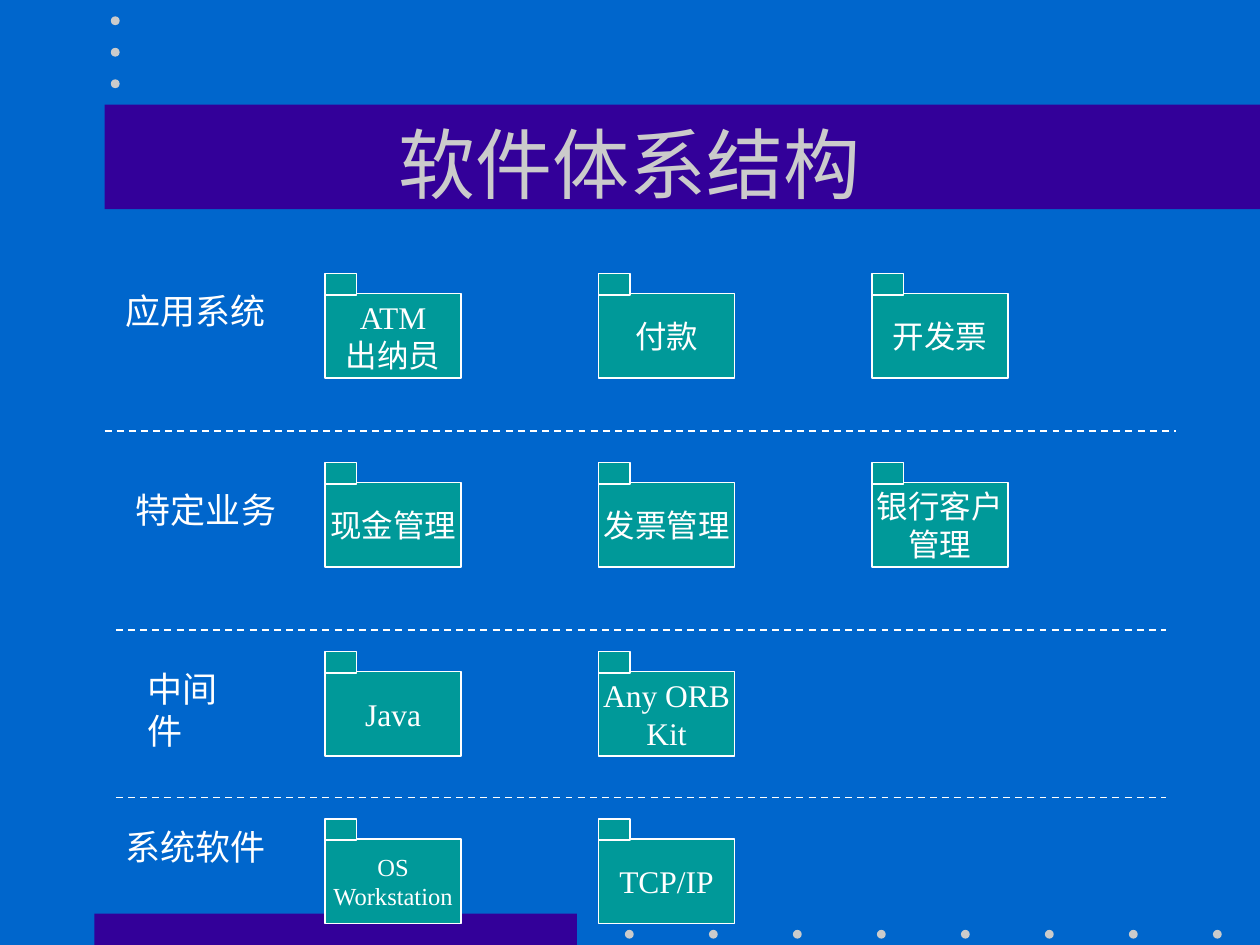
from pptx import Presentation
from pptx.dml.color import RGBColor
from pptx.enum.dml import MSO_LINE
from pptx.enum.shapes import MSO_CONNECTOR, MSO_SHAPE
from pptx.enum.text import MSO_ANCHOR, MSO_AUTO_SIZE, PP_ALIGN
from pptx.oxml.ns import qn
from pptx.util import Inches, Pt
from lxml import etree

RECT, OVAL = MSO_SHAPE.RECTANGLE, MSO_SHAPE.OVAL
LINE, DASH = MSO_CONNECTOR.STRAIGHT, MSO_LINE.DASH
MIDDLE, CENTER, LEFT = MSO_ANCHOR.MIDDLE, PP_ALIGN.CENTER, PP_ALIGN.LEFT
NO_FIT, GROW = MSO_AUTO_SIZE.NONE, MSO_AUTO_SIZE.SHAPE_TO_FIT_TEXT
BLUE = RGBColor(0x00, 0x66, 0xCC)
PURPLE = RGBColor(0x33, 0x00, 0x99)
TEAL = RGBColor(0x00, 0x99, 0x99)
GRAY = RGBColor(0xCB, 0xCB, 0xCB)
WHITE = RGBColor(0xFF, 0xFF, 0xFF)
FONT = "Times New Roman"

LAYERS = [
    ("应用系统", 0.9, 2.25, 1.31, 2.17, [("ATM\n出纳员", 18), ("付款", 18), ("开发票", 18)]),
    ("特定业务", 0.98, 3.83, 1.31, 3.67,
     [("现金管理", 18), ("发票管理", 18), ("银行客户\n管理", 18)]),
    ("中间件", 1.07, 5.25, 1.03, 5.17, [("Java", 18), ("Any ORB\nKit", 18)]),
    ("系统软件", 0.9, 6.5, 1.31, 6.5, [("OS\nWorkstation", 14), ("TCP/IP", 18)]),
]
RULES = [(0.83, 9.33, 3.42), (0.92, 9.25, 5), (0.92, 9.25, 6.33)]


def write(frame, text, size, color=WHITE, align=CENTER):
    """Fill a text frame and format its paragraphs."""
    frame.text = text
    for para in frame.paragraphs:
        para.alignment = align
        para.font.name = FONT
        para.font.size = Pt(size)
        para.font.color.rgb = color


def add_block(slide, kind, left, top, width, height, fill, line=None):
    """Add a flat filled shape, outlined when a line colour is given."""
    shape = slide.shapes.add_shape(
        kind, Inches(left), Inches(top), Inches(width), Inches(height))
    shape.shadow.inherit = False
    shape.fill.solid()
    shape.fill.fore_color.rgb = fill
    if line is None:
        shape.line.fill.background()
    else:
        shape.line.color.rgb = line
        shape.line.width = Pt(1)
    return shape


def add_decor(slide):
    """Add the bars and the rows of dots."""
    add_block(slide, RECT, 0.75, 7.25, 3.83, 0.25, PURPLE)
    add_block(slide, RECT, 0.83, 0.83, 9.17, 0.83, PURPLE)
    dots = [(4.96 + i * 2 / 3, 7.38) for i in range(8)]
    dots += [(0.88, 0.13 + i * 0.25) for i in range(3)]
    for left, top in dots:
        add_block(slide, OVAL, left, top, 0.07, 0.07, GRAY)


def add_title(slide, text):
    """Place the title in front of its bar."""
    title = slide.shapes.title
    title.left, title.top = Inches(0.75), Inches(0.67)
    title.width, title.height = Inches(8.5), Inches(1.25)
    frame = title.text_frame
    frame.auto_size = NO_FIT
    frame.vertical_anchor = MIDDLE
    write(frame, text, 44, GRAY)
    title.element.getparent().append(title.element)


def add_folder(slide, left, top, text, size):
    """Add a package folder with a tab and a centred name."""
    body = add_block(slide, RECT, left, top + 0.16, 1.08, 0.67, TEAL, WHITE)
    frame = body.text_frame
    frame.word_wrap = False
    frame.vertical_anchor = MIDDLE
    write(frame, text, size)
    add_block(slide, RECT, left, top, 0.25, 0.17, TEAL, WHITE)


def add_label(slide, left, top, width, text):
    """Add the name of a layer."""
    box = slide.shapes.add_textbox(
        Inches(left), Inches(top), Inches(width), Inches(0.44))
    frame = box.text_frame
    frame.word_wrap = False
    frame.auto_size = GROW
    write(frame, text, 20, align=LEFT)


def add_rule(slide, start, end, top):
    """Add a dashed line between two layers."""
    rule = slide.shapes.add_connector(
        LINE, Inches(start), Inches(top), Inches(end), Inches(top))
    rule.line.color.rgb = WHITE
    rule.line.width = Pt(1)
    rule.line.dash_style = DASH
    etree.SubElement(rule.element.spPr, qn("a:effectLst"))


def main():
    """Build the slide and save it."""
    deck = Presentation()
    deck.slide_width, deck.slide_height = Inches(10), Inches(7.5)
    slide = deck.slides.add_slide(deck.slide_layouts[5])
    slide.background.fill.solid()
    slide.background.fill.fore_color.rgb = BLUE
    add_decor(slide)
    add_title(slide, "软件体系结构")
    for label, left, top, width, row, names in LAYERS:
        for col, (name, size) in enumerate(names):
            add_folder(slide, 2.58 + col * 2.17, row, name, size)
        add_label(slide, left, top, width, label)
    for rule in RULES:
        add_rule(slide, *rule)
    deck.save("out.pptx")


if __name__ == "__main__":
    main()
